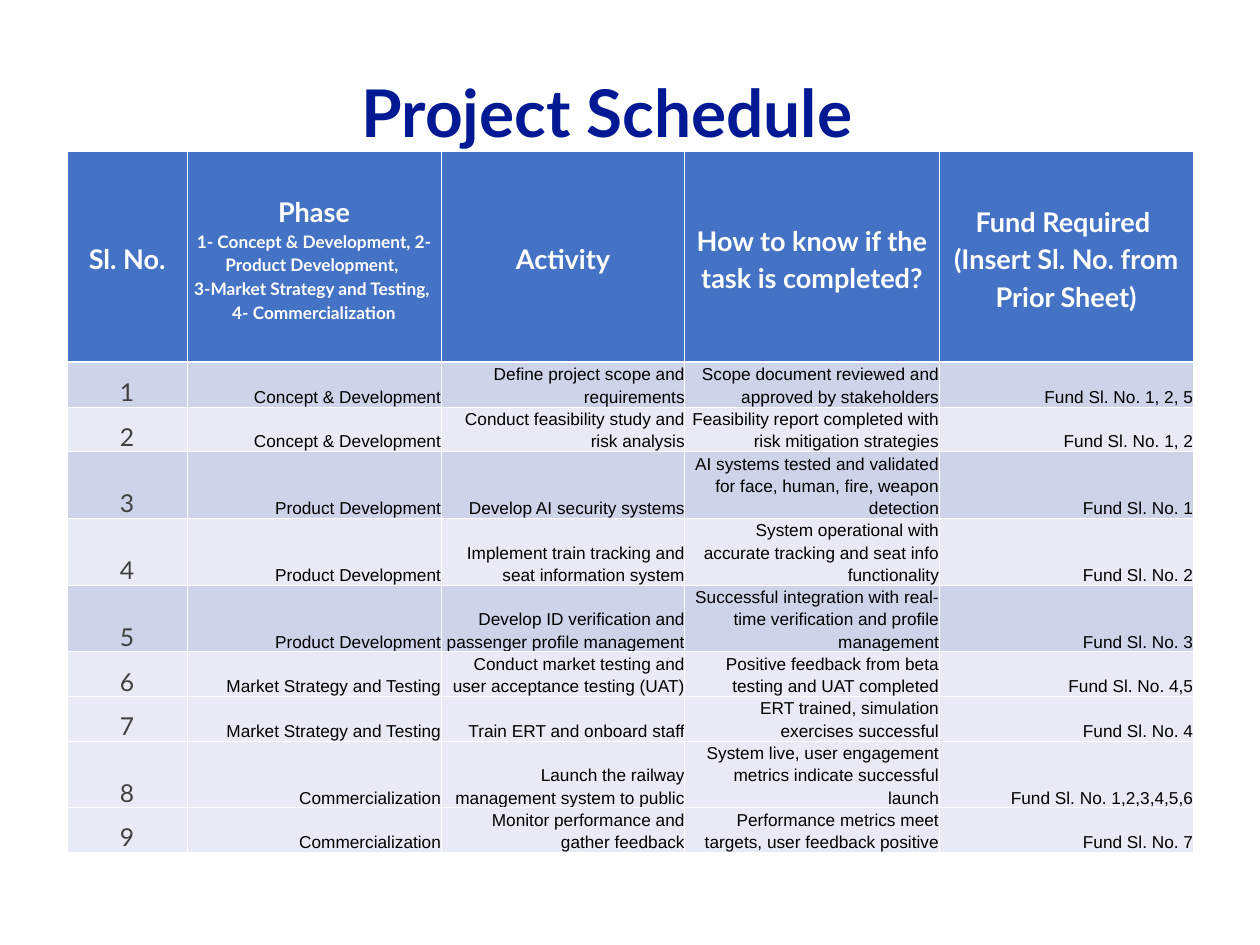
"""Build the project schedule slide."""
import lxml.etree
import pptx
import pptx.dml.color
import pptx.enum.text
import pptx.oxml.ns
import pptx.util

Pt = pptx.util.Pt
ALIGN = pptx.enum.text.PP_ALIGN
ANCHOR = pptx.enum.text.MSO_ANCHOR

HEAD = [
    [("Sl. No.", 22)],
    [
        ("Phase", 22),
        ("1- Concept & Development, 2-Product Development, ", 14),
        ("3-Market Strategy and Testing, ", 14),
        ("4- Commercialization", 14),
    ],
    [("Activity", 22)],
    [("How to know if the task is completed?", 22)],
    [("Fund Required \v(Insert Sl. No. from Prior Sheet)", 22)],
]
TASKS = [
    ("Concept & Development", "Define project scope and requirements",
     "Scope document reviewed and approved by stakeholders", "1, 2, 5"),
    ("Concept & Development", "Conduct feasibility study and risk analysis",
     "Feasibility report completed with risk mitigation strategies", "1, 2"),
    ("Product Development", "Develop AI security systems",
     "AI systems tested and validated for face, human, fire, weapon detection", "1"),
    ("Product Development", "Implement train tracking and seat information system",
     "System operational with accurate tracking and seat info functionality", "2"),
    ("Product Development", "Develop ID verification and passenger profile management",
     "Successful integration with real-time verification and profile management", "3"),
    ("Market Strategy and Testing", "Conduct market testing and user acceptance testing (UAT)",
     "Positive feedback from beta testing and UAT completed", "4,5"),
    ("Market Strategy and Testing", "Train ERT and onboard staff",
     "ERT trained, simulation exercises successful", "4"),
    ("Commercialization", "Launch the railway management system to public",
     "System live, user engagement metrics indicate successful launch", "1,2,3,4,5,6"),
    ("Commercialization", "Monitor performance and gather feedback",
     "Performance metrics meet targets, user feedback positive", "7"),
]
WIDTHS = [97.2, 206.64, 198, 206.64, 206.64]
HEIGHTS = [171.4, 36, 36, 54, 54, 54, 36, 36, 54, 36]
DARK_ROWS = {1, 3, 5}


def color(code):
    """Turn a hex string into a colour."""
    return pptx.dml.color.RGBColor.from_string(code)


def write(frame, lines, font="Lato", ink="FFFFFF", bold=False,
          align=ALIGN.CENTER, space=1.15):
    """Fill a text frame with (words, size) paragraphs."""
    for i, (words, size) in enumerate(lines):
        para = frame.add_paragraph() if i else frame.paragraphs[0]
        para.text = words
        para.alignment = align
        para.line_spacing = space
        para.space_before = Pt(0)
        for run in para.runs:
            run.font.name = font
            run.font.size = Pt(size)
            run.font.bold = bold
            run.font.color.rgb = color(ink)


def edge(cell, side, width):
    """Draw one white border of a cell."""
    qn = pptx.oxml.ns.qn
    props = cell._tc.get_or_add_tcPr()
    line = lxml.etree.SubElement(props, qn("a:ln" + side), w=str(Pt(width)))
    fill = lxml.etree.SubElement(line, qn("a:solidFill"))
    lxml.etree.SubElement(fill, qn("a:srgbClr"), val="FFFFFF")


def style(cell, fill, anchor, top=0.75, base=0.75):
    """Set the borders, fill, margins and anchor of a cell."""
    for side, width in (("L", 0.75), ("R", 0.75), ("T", top), ("B", base)):
        edge(cell, side, width)
    cell.fill.solid()
    cell.fill.fore_color.rgb = color(fill)
    cell.margin_left = cell.margin_right = Pt(0)
    cell.margin_top = cell.margin_bottom = Pt(0)
    cell.vertical_anchor = anchor


def add_title(slide):
    """Place and write the slide title."""
    title = slide.shapes.title
    title.left, title.top = Pt(168.5), Pt(60.5)
    title.width, title.height = Pt(662.4), Pt(67.7)
    frame = title.text_frame
    frame.margin_left = frame.margin_right = Pt(3)
    frame.margin_top = frame.margin_bottom = Pt(3)
    frame.vertical_anchor = ANCHOR.MIDDLE
    write(frame, [("Project Schedule ", 53.4)], ink="011993", bold=True, space=0.9)


def add_plan(slide):
    """Add the schedule table."""
    plan = slide.shapes.add_table(
        len(HEIGHTS), len(WIDTHS), Pt(54.7), Pt(123.1),
        Pt(sum(WIDTHS)), Pt(sum(HEIGHTS))).table
    plan.horz_banding = False
    for column, width in zip(plan.columns, WIDTHS):
        column.width = Pt(width)
    for row, height in zip(plan.rows, HEIGHTS):
        row.height = Pt(height)
    for col, lines in enumerate(HEAD):
        cell = plan.cell(0, col)
        style(cell, "4472C4", ANCHOR.MIDDLE, base=2)
        write(cell.text_frame, lines, bold=True)
    for row, (phase, task, proof, fund) in enumerate(TASKS, 1):
        fill = "CDD4EA" if row in DARK_ROWS else "E8EBF5"
        words = [str(row), phase, task, proof, "Fund Sl. No. " + fund]
        for col, word in enumerate(words):
            cell = plan.cell(row, col)
            style(cell, fill, ANCHOR.BOTTOM, top=2 if row == 1 else 0.75)
            if col == 0:
                write(cell.text_frame, [(word, 20)], ink="404040")
            else:
                write(cell.text_frame, [(word, 14)], font="Arial",
                      ink="000000", align=ALIGN.RIGHT)


def main():
    """Create and save the slide."""
    deck = pptx.Presentation()
    deck.slide_width, deck.slide_height = Pt(1024), Pt(768)
    slide = deck.slides.add_slide(deck.slide_layouts.get_by_name("Title Only"))
    add_title(slide)
    add_plan(slide)
    deck.save("out.pptx")


if __name__ == "__main__":
    main()
